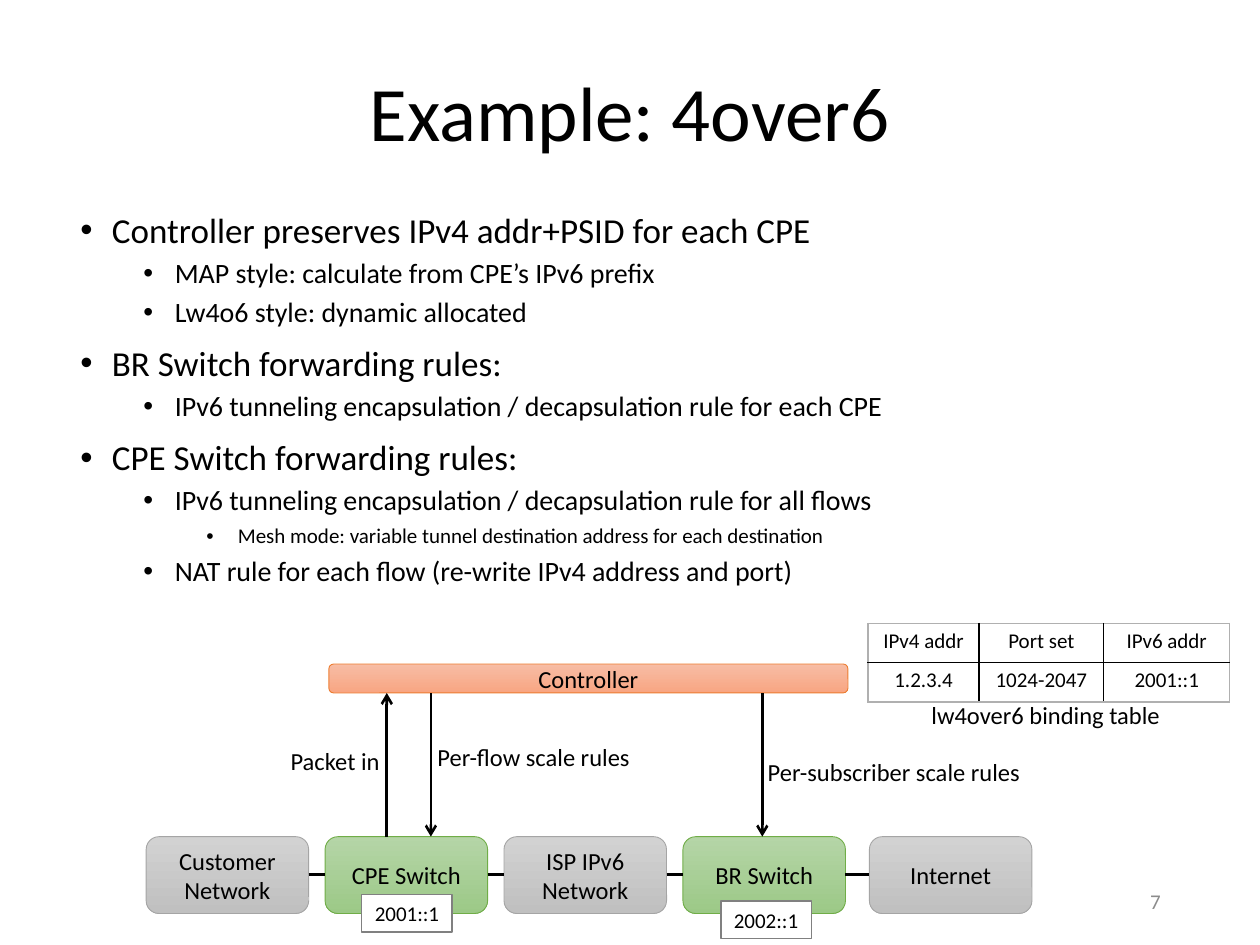
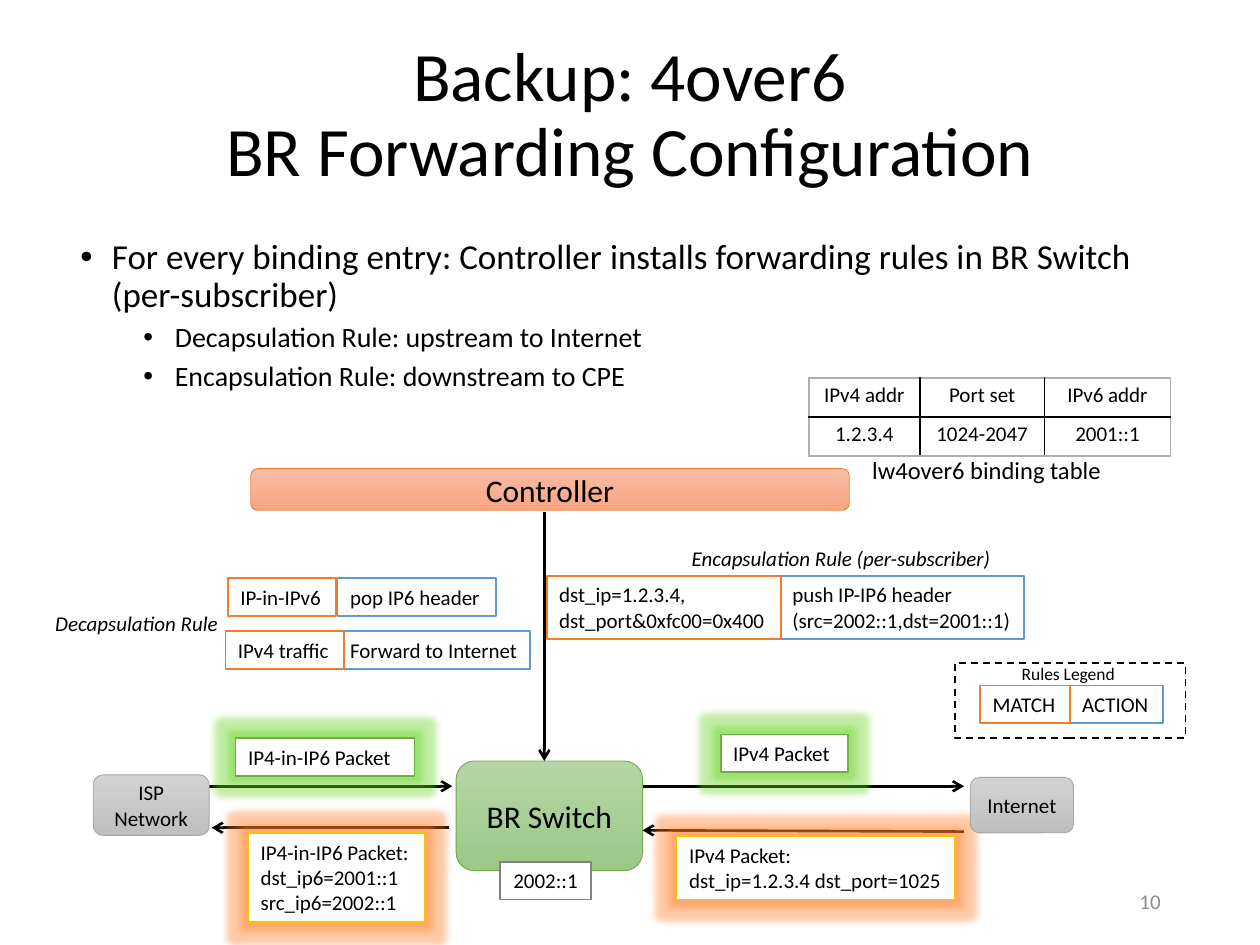
from dataclasses import dataclass
from typing import Any

from lxml import etree
from pptx import Presentation, util as u
from pptx.dml.color import RGBColor
from pptx.enum import dml, shapes, text
from pptx.oxml import ns

FONT = "Calibri"
COLORS = {
    "text": "000000",
    "white": "FFFFFF",
    "number": "8C8C8C",
    "address": "808080",
    "table_edge": "B0B0B0",
    "match": "ED7D31",
    "action": "5B9BD5",
    "upstream": "70AD47",
    "downstream": "FFC000",
}
GRADIENTS = {
    "switch": ("B5D5A7", "9CC987", "70AD47"),
    "network": ("D2D2D2", "C0C0C0", "A5A5A5"),
    "controller": ("F7BDA5", "F8A582", "ED7D31"),
}
GLOWS = {"upstream": COLORS["upstream"], "downstream": COLORS["match"]}
BULLET_SIZES = (20, 16, 12)
BULLET_INDENTS = (0.25, 0.75, 1.25)
BINDING_ROWS = (("IPv4 addr", "Port set", "IPv6 addr"), ("1.2.3.4", "1024-2047", "2001::1"))
BINDING_WIDTHS = (0.88, 0.99, 1.0)
BINDING_ROW_HEIGHT = 0.31
CENTER = text.PP_ALIGN.CENTER
LEFT = text.PP_ALIGN.LEFT
RIGHT = text.PP_ALIGN.RIGHT
TOP = text.MSO_ANCHOR.TOP
MIDDLE = text.MSO_ANCHOR.MIDDLE


@dataclass(frozen=True)
class Area:
    left: float
    top: float
    width: float
    height: float

    def lengths(self) -> tuple:
        return tuple(u.Inches(v) for v in (self.left, self.top, self.width, self.height))


@dataclass(frozen=True)
class Node:
    words: str
    kind: str
    area: Area
    size: float = 14


@dataclass(frozen=True)
class Box:
    words: str
    kind: str
    area: Area


@dataclass(frozen=True)
class Label:
    words: str
    area: Area
    size: float = 14
    italic: bool = False
    align: Any = CENTER


@dataclass(frozen=True)
class Link:
    start: tuple[float, float]
    end: tuple[float, float]
    arrow: bool = True


@dataclass(frozen=True)
class Bullet:
    words: str
    level: int = 0


def rgb(value: str) -> RGBColor:
    return RGBColor.from_string(value)


def add_element(parent: Any, tag: str, **attributes: str) -> Any:
    element = etree.SubElement(parent, ns.qn(tag))
    for name, value in attributes.items():
        element.set(name, value)
    return element


def add_run(paragraph: Any, words: str, size: float, color: str = COLORS["text"], italic: bool = False) -> None:
    for index, line in enumerate(words.split("\v")):
        if index:
            paragraph.add_line_break()
        run = paragraph.add_run()
        run.text = line
        run.font.name, run.font.size = FONT, u.Pt(size)
        run.font.color.rgb = rgb(color)
        run.font.italic = italic


def write(frame: Any, words: str, size: float, align: Any = CENTER, anchor: Any = MIDDLE,
          wrap: bool = True, color: str = COLORS["text"], italic: bool = False, spacing: float = 1.0) -> None:
    frame.word_wrap = wrap
    if not wrap:
        frame.auto_size = text.MSO_AUTO_SIZE.SHAPE_TO_FIT_TEXT
    frame.vertical_anchor = anchor
    for index, part in enumerate(words.split("\n")):
        paragraph = frame.add_paragraph() if index else frame.paragraphs[0]
        paragraph.alignment, paragraph.line_spacing = align, spacing
        add_run(paragraph, part, size, color, italic)


def add_textbox(slide: Any, area: Area) -> Any:
    return slide.shapes.add_textbox(*area.lengths()).text_frame


def add_bullets(slide: Any, area: Area, bullets: list[Bullet]) -> None:
    frame = add_textbox(slide, area)
    frame.word_wrap = True
    for index, bullet in enumerate(bullets):
        paragraph = frame.add_paragraph() if index else frame.paragraphs[0]
        paragraph.level = bullet.level
        paragraph.line_spacing = 0.9
        paragraph.space_before = u.Pt(5 if bullet.level else 10)
        add_run(paragraph, bullet.words, BULLET_SIZES[bullet.level])
        properties = paragraph._p.get_or_add_pPr()
        properties.set("marL", str(u.Inches(BULLET_INDENTS[bullet.level])))
        properties.set("indent", str(-u.Inches(0.25)))
        add_element(properties, "a:buFont", typeface="Arial")
        add_element(properties, "a:buChar", char="•")


def add_node(slide: Any, node: Node) -> None:
    shape = slide.shapes.add_shape(shapes.MSO_SHAPE.ROUNDED_RECTANGLE, *node.area.lengths())
    shape.shadow.inherit = False
    *fills, edge = GRADIENTS[node.kind]
    shape.fill.gradient()
    shape.fill.gradient_angle = 270
    for stop, fill in zip(shape.fill.gradient_stops, fills):
        stop.color.rgb = rgb(fill)
    shape.line.color.rgb, shape.line.width = rgb(edge), u.Pt(0.5)
    write(shape.text_frame, node.words, node.size)


def add_box(slide: Any, box: Box) -> None:
    shape = slide.shapes.add_shape(shapes.MSO_SHAPE.RECTANGLE, *box.area.lengths())
    shape.shadow.inherit = False
    shape.fill.solid()
    shape.fill.fore_color.rgb = rgb(COLORS["white"])
    shape.line.color.rgb, shape.line.width = rgb(COLORS[box.kind]), u.Pt(1)
    is_address = box.kind == "address"
    write(shape.text_frame, box.words, 12, CENTER if is_address else LEFT, TOP, wrap=not is_address)
    if box.kind in GLOWS:
        effects = shape._element.spPr.find(ns.qn("a:effectLst"))
        glow = add_element(effects, "a:glow", rad=str(u.Pt(8)))
        color = add_element(glow, "a:srgbClr", val=GLOWS[box.kind])
        add_element(color, "a:satMod", val="175000")
        add_element(color, "a:alpha", val="40000")


def add_label(slide: Any, label: Label) -> None:
    write(add_textbox(slide, label.area), label.words, label.size, label.align, TOP,
          wrap=False, italic=label.italic)


def add_link(slide: Any, link: Link) -> None:
    points = [u.Inches(v) for v in (*link.start, *link.end)]
    connector = slide.shapes.add_connector(shapes.MSO_CONNECTOR.STRAIGHT, *points)
    connector.line.color.rgb, connector.line.width = rgb(COLORS["text"]), u.Pt(1.5)
    if link.arrow:
        add_element(connector.line._get_or_add_ln(), "a:tailEnd", type="arrow")
    add_element(connector._element.spPr, "a:effectLst")


def add_border(cell: Any, side: str, color: str) -> None:
    line = add_element(cell._tc.get_or_add_tcPr(), f"a:{side}", w=str(u.Pt(1)))
    add_element(add_element(line, "a:solidFill"), "a:srgbClr", val=color)


def add_binding_table(slide: Any, left: float, top: float) -> None:
    last_row, last_column = len(BINDING_ROWS) - 1, len(BINDING_WIDTHS) - 1
    area = Area(left, top, sum(BINDING_WIDTHS), BINDING_ROW_HEIGHT * (last_row + 1))
    table = slide.shapes.add_table(last_row + 1, last_column + 1, *area.lengths()).table
    table.first_row = table.horz_banding = False
    for column, width in zip(table.columns, BINDING_WIDTHS):
        column.width = u.Inches(width)
    for row_index, values in enumerate(BINDING_ROWS):
        table.rows[row_index].height = u.Inches(BINDING_ROW_HEIGHT)
        for column_index, value in enumerate(values):
            cell = table.cell(row_index, column_index)
            cell.margin_left = cell.margin_right = u.Inches(0.08)
            cell.margin_top = cell.margin_bottom = u.Inches(0.04)
            write(cell.text_frame, value, 12)
            cell.vertical_anchor = TOP
            outer = {"lnL": column_index == 0, "lnR": column_index == last_column,
                     "lnT": row_index == 0, "lnB": row_index == last_row}
            for side, is_outer in outer.items():
                add_border(cell, side, COLORS["table_edge" if is_outer else "text"])
            cell.fill.solid()
            cell.fill.fore_color.rgb = rgb(COLORS["white"])
    add_label(slide, Label("lw4over6 binding table", Area(left + 0.39, top + 0.56, 2.04, 0.34)))


def add_slide(presentation: Any, title: str, title_size: float, number: str,
              body: Area, bullets: list[Bullet]) -> Any:
    slide = presentation.slides.add_slide(presentation.slide_layouts[6])
    add_bullets(slide, body, bullets)
    write(add_textbox(slide, Area(0.5, 0.3, 9, 1.25)), title, title_size, spacing=0.9)
    write(add_textbox(slide, Area(7.06, 6.95, 2.25, 0.4)), number, 12, RIGHT, color=COLORS["number"])
    return slide


def build_example(presentation: Any) -> None:
    slide = add_slide(presentation, "Example: 4over6", 44, "7", Area(0.54, 1.64, 9, 4.77), [
        Bullet("Controller preserves IPv4 addr+PSID for each CPE"),
        Bullet("MAP style: calculate from CPE’s IPv6 prefix", 1),
        Bullet("Lw4o6 style: dynamic allocated", 1),
        Bullet("BR Switch forwarding rules:"),
        Bullet("IPv6 tunneling encapsulation / decapsulation rule for each CPE", 1),
        Bullet("CPE Switch forwarding rules:"),
        Bullet("IPv6 tunneling encapsulation / decapsulation rule for all flows", 1),
        Bullet("Mesh mode: variable tunnel destination address for each destination", 2),
        Bullet("NAT rule for each flow (re-write IPv4 address and port)", 1),
    ])
    add_binding_table(slide, 6.89, 4.95)
    chain = [
        ("Customer Network", "network", 1.16),
        ("CPE Switch", "switch", 2.58),
        ("ISP IPv6 Network", "network", 4.0),
        ("BR Switch", "switch", 5.42),
        ("Internet", "network", 6.9),
    ]
    node_width, node_top, link_height = 1.29, 6.64, 6.94
    for words, kind, left in chain:
        add_node(slide, Node(words, kind, Area(left, node_top, node_width, 0.61)))
    for (_, _, left), (_, _, following) in zip(chain, chain[1:]):
        add_link(slide, Link((left + node_width, link_height), (following, link_height), False))
    add_node(slide, Node("Controller", "controller", Area(2.61, 5.27, 4.12, 0.23)))
    controller_bottom = 5.5
    add_link(slide, Link((3.07, node_top), (3.07, controller_bottom)))
    for rules_left in (3.42, 6.05):
        add_link(slide, Link((rules_left, controller_bottom), (rules_left, node_top)))
    for label in (
        Label("Per-subscriber scale rules", Area(5.98, 5.96, 2.23, 0.34)),
        Label("Per-flow scale rules", Area(3.36, 5.84, 1.75, 0.34)),
        Label("Packet in", Area(2.2, 5.87, 0.92, 0.34)),
    ):
        add_label(slide, label)
    add_box(slide, Box("2002::1", "address", Area(5.72, 7.15, 0.72, 0.3)))
    add_box(slide, Box("2001::1", "address", Area(2.87, 7.1, 0.72, 0.3)))


def build_backup(presentation: Any) -> None:
    slide = add_slide(presentation, "Backup: 4over6\vBR Forwarding Configuration", 39.6, "10",
                      Area(0.54, 1.85, 9, 4.56), [
        Bullet("For every binding entry: Controller installs forwarding rules in BR Switch (per-subscriber)"),
        Bullet("Decapsulation Rule: upstream to Internet", 1),
        Bullet("Encapsulation Rule: downstream to CPE", 1),
    ])
    add_node(slide, Node("BR Switch", "switch", Area(3.62, 6.04, 1.48, 0.87), 18))
    add_node(slide, Node("Controller", "controller", Area(1.99, 3.72, 4.75, 0.33), 18))
    add_binding_table(slide, 6.42, 3)
    for link in (
        Link((4.32, 4.06), (4.32, 6.04)),
        Link((5.1, 6.24), (7.65, 6.24)),
        Link((1.58, 6.24), (3.59, 6.24)),
        Link((7.65, 6.6), (5.1, 6.59)),
        Link((3.56, 6.57), (1.68, 6.57)),
    ):
        add_link(slide, link)
    for box in (
        Box("2002::1", "address", Area(3.97, 6.84, 0.72, 0.3)),
        Box("push IP-IP6 header\v(src=2002::1,dst=2001::1)", "action", Area(6.19, 4.57, 1.94, 0.5)),
        Box("pop IP6 header", "action", Area(2.68, 4.59, 1.26, 0.3)),
        Box("Forward to Internet", "action", Area(2.68, 5.01, 1.53, 0.3)),
        Box("ACTION", "action", Area(8.49, 5.44, 0.74, 0.3)),
        Box("MATCH", "match", Area(7.78, 5.44, 0.71, 0.3)),
        Box("IPv4 traffic", "match", Area(1.79, 5.01, 0.94, 0.3)),
        Box("IP-in-IPv6", "match", Area(1.81, 4.59, 0.86, 0.3)),
        Box("dst_ip=1.2.3.4,\vdst_port&0xfc00=0x400", "match", Area(4.34, 4.57, 1.86, 0.5)),
        Box("IP4-in-IP6 Packet", "upstream", Area(1.87, 5.86, 1.42, 0.3)),
        Box("IPv4 Packet", "upstream", Area(5.72, 5.83, 1.01, 0.3)),
        Box("IPv4 Packet:\ndst_ip=1.2.3.4 dst_port=1025", "downstream", Area(5.37, 6.64, 2.21, 0.5)),
        Box("IP4-in-IP6 Packet:\ndst_ip6=2001::1 src_ip6=2002::1", "downstream", Area(1.97, 6.61, 1.4, 0.71)),
    ):
        add_box(slide, box)
    add_node(slide, Node("ISP\nNetwork", "network", Area(0.74, 6.15, 0.92, 0.48), 12))
    add_node(slide, Node("Internet", "network", Area(7.7, 6.17, 0.82, 0.44), 12))
    legend = slide.shapes.add_shape(shapes.MSO_SHAPE.RECTANGLE, *Area(7.58, 5.26, 1.83, 0.6).lengths())
    legend.shadow.inherit = False
    legend.fill.background()
    legend.line.color.rgb, legend.line.width = rgb(COLORS["text"]), u.Pt(1)
    legend.line.dash_style = dml.MSO_LINE.DASH
    for label in (
        Label("Decapsulation Rule", Area(0.34, 4.8, 1.5, 0.3), 12, True, LEFT),
        Label("Encapsulation Rule (per-subscriber)", Area(5.39, 4.28, 2.59, 0.3), 12, True, LEFT),
        Label("Rules Legend", Area(8.01, 5.21, 0.95, 0.27), 10, False, LEFT),
    ):
        add_label(slide, label)


def main() -> None:
    presentation = Presentation()
    presentation.slide_width, presentation.slide_height = u.Inches(10), u.Inches(7.5)
    build_example(presentation)
    build_backup(presentation)
    presentation.save("out.pptx")


if __name__ == "__main__":
    main()
